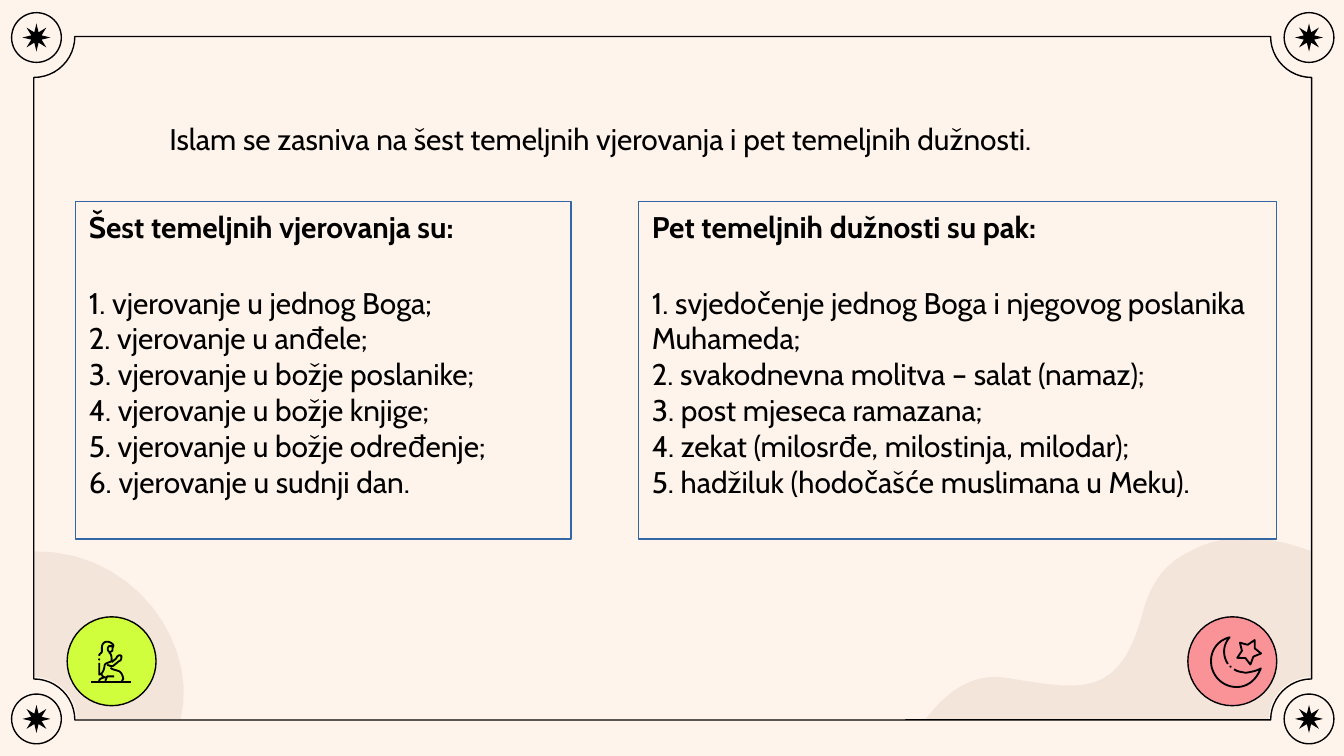
import itertools

import pptx
import pptx.dml.color
import pptx.enum.shapes
import pptx.enum.text
import pptx.oxml
import pptx.oxml.ns
import pptx.util

Cm = pptx.util.Cm
Pt = pptx.util.Pt
SHAPE = pptx.enum.shapes.MSO_SHAPE

COLORS = {
    "paper": "FFF4EC",
    "blob": "F4E5DB",
    "ink": "000000",
    "lime": "D0FE3C",
    "pink": "FA9397",
    "panel": "3465A4",
}
FONT = {"name": "Cabin", "size": Pt(16)}
TEXT_FRAME = {
    "margin_left": Cm(0.25),
    "margin_right": Cm(0.25),
    "margin_top": Cm(0.13),
    "margin_bottom": Cm(0.13),
    "word_wrap": True,
    "auto_size": pptx.enum.text.MSO_AUTO_SIZE.NONE,
    "vertical_anchor": pptx.enum.text.MSO_ANCHOR.TOP,
}

INTRO = "Islam se zasniva na šest temeljnih vjerovanja i pet temeljnih dužnosti."
BELIEFS = [
    "Šest temeljnih vjerovanja su:",
    "1. vjerovanje u jednog Boga;",
    "2. vjerovanje u anđele;",
    "3. vjerovanje u božje poslanike;",
    "4. vjerovanje u božje knjige;",
    "5. vjerovanje u božje određenje;",
    "6. vjerovanje u sudnji dan.",
]
DUTIES = [
    "Pet temeljnih dužnosti su pak:",
    "1. svjedočenje jednog Boga i njegovog poslanika Muhameda;",
    "2. svakodnevna molitva – salat (namaz);",
    "3. post mjeseca ramazana;",
    "4. zekat (milosrđe, milostinja, milodar);",
    "5. hadžiluk (hodočašće muslimana u Meku).",
]

LEFT_BLOB = [(89, 100), (0, 100), (0, 1), (61, 0, 100, 56, 89, 100)]
RIGHT_BLOB = [(100, 10), (88, 1, 77, 0, 68, 11), (62, 17, 58, 28, 56, 46),
              (50, 88, 41, 85, 21, 78), (12, 75, 5, 86, 0, 100), (100, 100)]
CRESCENT = [(45, 53), (39, 44, 39, 32, 47, 23), (35, 26, 26, 36, 26, 50),
            (26, 65, 38, 79, 55, 79), (67, 79, 77, 71, 82, 58),
            (77, 61, 71, 62, 65, 63), (61, 62, 56, 62, 52, 59)]
PRAYER = [
    [(27, 73), (72, 73)],
    [(36, 44), (36, 41, 39, 41, 39, 39), (39, 35), (39, 30, 42, 28, 45, 28),
     (48, 28, 51, 30, 52, 32), (52, 33, 51, 35, 51, 35), (51, 38), (48, 40),
     (45, 38, 45, 35, 47, 33), (52, 33)],
    [(47, 40), (50, 42, 50, 45, 50, 50), (45, 52), (42, 53, 42, 55, 42, 56),
     (41, 61, 39, 65, 36, 65), (36, 52)],
    [(45, 54), (48, 55, 50, 56, 52, 55), (58, 50), (61, 49, 61, 47, 61, 44),
     (59, 42, 56, 44, 55, 47), (50, 51)],
    [(49, 57), (50, 59, 52, 59, 58, 61), (61, 62, 63, 67, 63, 70), (61, 73)],
    [(39, 65), (40, 68, 42, 68, 43, 68), (38, 69, 36, 70, 36, 73)],
    [(53, 67), (45, 67), (43, 72)],
]


def rgb(key):
    return pptx.dml.color.RGBColor.from_string(COLORS[key])


def paint(shape, fill=None, line=None, weight=0.75):
    shape.shadow.inherit = False
    if fill:
        shape.fill.solid()
        shape.fill.fore_color.rgb = rgb(fill)
    else:
        shape.fill.background()
    if line:
        shape.line.color.rgb = rgb(line)
        shape.line.width = Pt(weight)
    else:
        shape.line.fill.background()
    return shape


def add_preset(slide, kind, box, **look):
    shape = slide.shapes.add_shape(kind, *(Cm(length) for length in box))
    return paint(shape, **look)


def add_centered(slide, kind, x, y, size, **look):
    return add_preset(slide, kind, (x - size / 2, y - size / 2, size, size), **look)


def trace(path, steps=14):
    points = [path[0]]
    for segment in path[1:]:
        if len(segment) == 2:
            points.append(segment)
            continue
        corners = [points[-1], segment[:2], segment[2:4], segment[4:]]
        for step in range(1, steps + 1):
            t = step / steps
            weights = ((1 - t) ** 3, 3 * t * (1 - t) ** 2, 3 * t * t * (1 - t), t ** 3)
            points.append(tuple(sum(w * corner[axis] for w, corner in zip(weights, corners))
                                for axis in (0, 1)))
    return points


def add_outline(slide, box, path, close=False, **look):
    left, top, width, height = box
    points = [(Cm(left + x * width / 100), Cm(top + y * height / 100))
              for x, y in trace(path)]
    builder = slide.shapes.build_freeform(*points[0])
    builder.add_line_segments(points[1:], close=close)
    return paint(builder.convert_to_shape(), **look)


def add_frame(slide, box):
    left, top, width, height = box
    corners = list(itertools.product(((left, 1), (left + width, -1)),
                                     ((top, 1), (top + height, -1))))
    for (x, _), (y, _) in corners:
        add_centered(slide, SHAPE.OVAL, x, y, 1.63, fill="paper")
    plaque = add_preset(slide, SHAPE.PLAQUE, box, line="ink")
    plaque.adjustments[0] = 0.06
    for (x, inward_x), (y, inward_y) in corners:
        center = (x + 0.05 * inward_x, y + 0.02 * inward_y)
        add_centered(slide, SHAPE.OVAL, *center, 0.94, line="ink")
        star = add_centered(slide, SHAPE.STAR_8_POINT, *center, 0.53, fill="ink")
        star.adjustments[0] = 0.2


def add_badge(slide, box, color, strokes, dot):
    left, top, size, _ = box
    add_preset(slide, SHAPE.OVAL, box, fill=color, line="ink")
    for stroke in strokes:
        add_outline(slide, box, stroke, line="ink", weight=1)
    add_centered(slide, SHAPE.OVAL, left + dot[0] * size / 100,
                 top + dot[1] * size / 100, 0.04, fill="ink")


def add_moon_badge(slide, box):
    left, top, size, _ = box
    add_badge(slide, box, "pink", [CRESCENT], (48, 56))
    star = add_centered(slide, SHAPE.STAR_5_POINT, left + 0.69 * size,
                        top + 0.38 * size, 0.45, line="ink", weight=1)
    star.adjustments[0] = 0.27
    star.rotation = 27


def write(shape, lines):
    frame = shape.text_frame
    for name, value in TEXT_FRAME.items():
        setattr(frame, name, value)
    for index, line in enumerate(lines):
        paragraph = frame.paragraphs[0] if index == 0 else frame.add_paragraph()
        paragraph.alignment = pptx.enum.text.PP_ALIGN.LEFT
        run = paragraph.add_run()
        run.text = line
        for name, value in FONT.items():
            setattr(run.font, name, value)
        run.font.bold = index == 0 and len(lines) > 1
        run.font.color.rgb = rgb("ink")


def add_intro(slide, box):
    intro = slide.shapes.title
    for name, length in zip(("left", "top", "width", "height"), box):
        setattr(intro, name, Cm(length))
    write(intro, [INTRO])


def add_panel(slide, box, lines):
    panel = add_preset(slide, SHAPE.FLOWCHART_PROCESS, box, line="panel", weight=0)
    write(panel, lines)
    panel.text_frame.paragraphs[0].space_after = Pt(21.5)


def main():
    deck = pptx.Presentation()
    deck.slide_width, deck.slide_height = Cm(25.4), Cm(14.29)
    slide = deck.slides.add_slide(deck.slide_layouts[5])
    slide.background.fill.solid()
    slide.background.fill.fore_color.rgb = rgb("paper")

    add_outline(slide, (17.5, 10.06, 7.27, 3.53), RIGHT_BLOB, close=True, fill="blob")
    add_outline(slide, (0.64, 10.39, 3.12, 3.2), LEFT_BLOB, close=True, fill="blob")
    add_frame(slide, (0.64, 0.69, 24.15, 12.92))
    add_badge(slide, (1.27, 11.66, 1.68, 1.68), "lime", PRAYER, (36, 48))
    add_moon_badge(slide, (22.45, 11.66, 1.68, 1.68))
    add_intro(slide, (2.95, 2.16, 19.05, 1.02))
    add_panel(slide, (1.43, 3.81, 9.36, 6.38), BELIEFS)
    add_panel(slide, (12.07, 3.81, 12.06, 6.38), DUTIES)
    deck.save("out.pptx")


if __name__ == "__main__":
    main()
